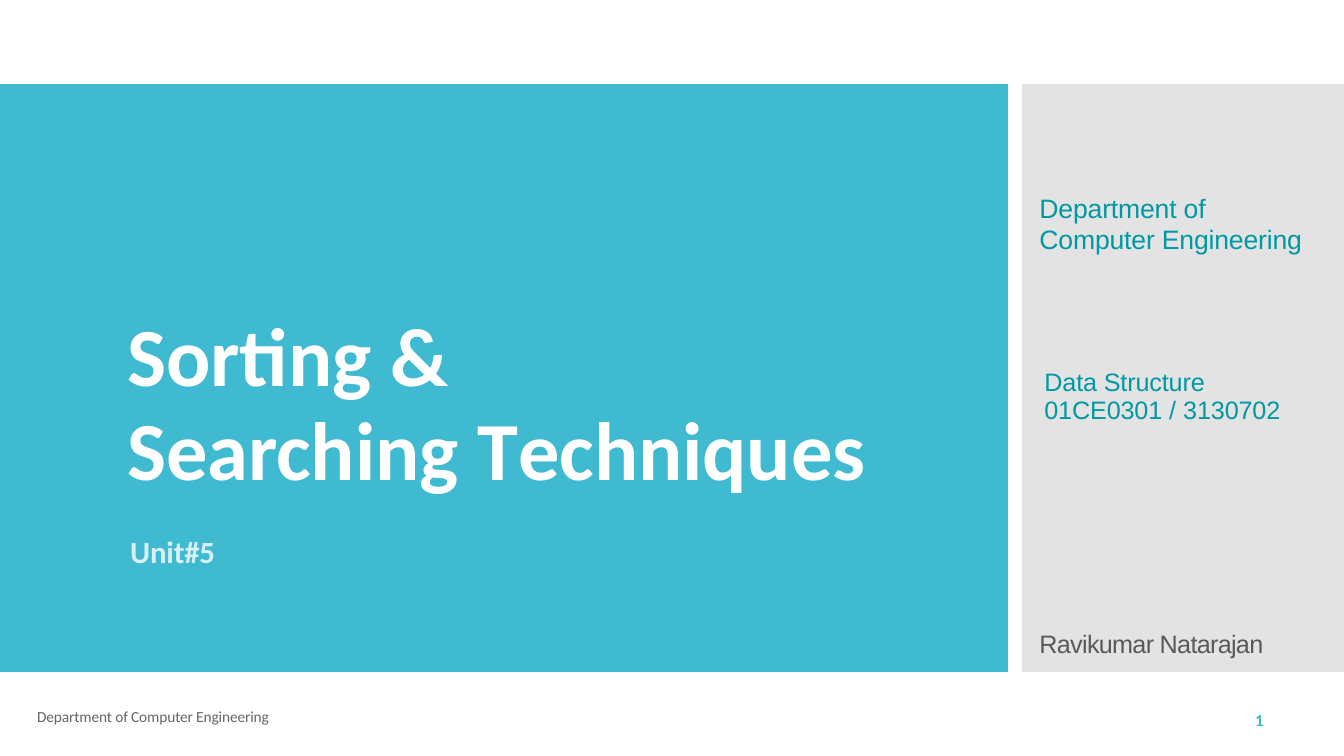
import lxml.etree
import pptx
import pptx.dml.color
import pptx.enum.shapes
import pptx.oxml.ns
import pptx.util

Pt = pptx.util.Pt
TURQUOISE = "40BAD1"
TEAL = "0098A3"


def color(hex_value):
    return pptx.dml.color.RGBColor.from_string(hex_value)


def add_panel(slide, left, width, fill, opacity=100):
    """Add a full-height band; opacity is a percentage."""
    sp = slide.shapes.add_shape(
        pptx.enum.shapes.MSO_SHAPE.RECTANGLE, Pt(left), Pt(60), Pt(width), Pt(420))
    sp.shadow.inherit = False
    sp.line.fill.background()
    sp.fill.solid()
    sp.fill.fore_color.rgb = color(fill)
    if opacity < 100:
        qn = pptx.oxml.ns.qn
        rgb = sp.fill._xPr.find(".//" + qn("a:srgbClr"))
        lxml.etree.SubElement(rgb, qn("a:alpha"), val=str(opacity * 1000))


def add_text(slide, box, paragraphs, size, hex_value, font="Calibri",
             bold=False, line=None):
    """Add paragraphs, each a list of (text, letter spacing in points)."""
    sp = slide.shapes.add_textbox(*(Pt(v) for v in box))
    tf = sp.text_frame
    tf.word_wrap = True
    tf.margin_left = tf.margin_top = tf.margin_right = tf.margin_bottom = 0
    for i, runs in enumerate(paragraphs):
        p = tf.add_paragraph() if i else tf.paragraphs[0]
        if line:
            p.line_spacing = Pt(line)
        p.font.name = font
        p.font.size = Pt(size)
        p.font.bold = bold
        p.font.color.rgb = color(hex_value)
        for text, spacing in runs:
            r = p.add_run()
            r.text = text
            if spacing:
                r._r.get_or_add_rPr().set("spc", str(round(spacing * 100)))


def main():
    prs = pptx.Presentation()
    prs.slide_width, prs.slide_height = Pt(960), Pt(540)
    slide = prs.slides.add_slide(prs.slide_layouts[6])

    add_panel(slide, 0, 720, TURQUOISE)
    add_panel(slide, 730, 230, "C8C8C8", opacity=50)

    department = [[("Department of Computer Engineering", -0.1)]]
    title = [
        [("Sorting ", -0.1), ("&", 0)],
        [("Searchin", -0.1), ("g ", 0), ("T", -3.8), ("echniques", -0.1)],
    ]
    course = [[("Data Structure 01CE0301 ", -0.1), ("/ ", 0), ("3130702", -0.1)]]

    add_text(slide, (742.5, 137.2, 197, 45), department, 19, TEAL, "Arial", line=22.5)
    add_text(slide, (742.5, 448.8, 200, 22), [[("Ravikumar Natarajan", -0.5)]],
             18, "595959", "Arial")
    add_text(slide, (91, 220.6, 580, 135), title, 59, "FFFFFF", bold=True, line=67.3)
    add_text(slide, (93, 380.4, 80, 27), [[("Unit#5", -0.1)]], 22, "D7F0F6", bold=True)
    add_text(slide, (746, 264, 176, 39), course, 18, TEAL, "Arial", line=19.5)
    add_text(slide, (26.5, 507, 185, 13), department, 11, "666666", line=11.4)
    add_text(slide, (896.5, 509, 10, 14), [[("1", 0)]], 12, TURQUOISE,
             bold=True, line=12.3)

    prs.save("out.pptx")


if __name__ == "__main__":
    main()
